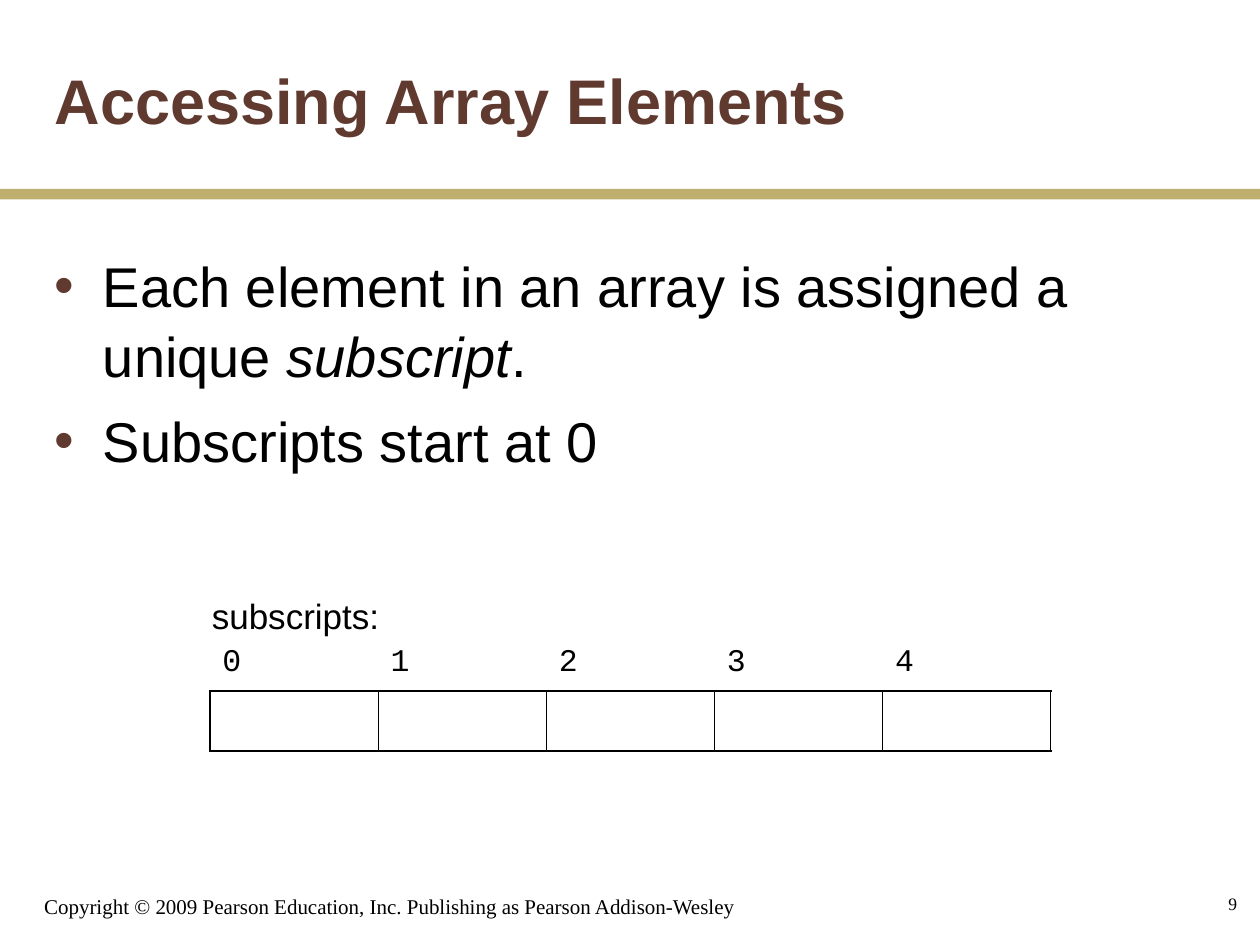
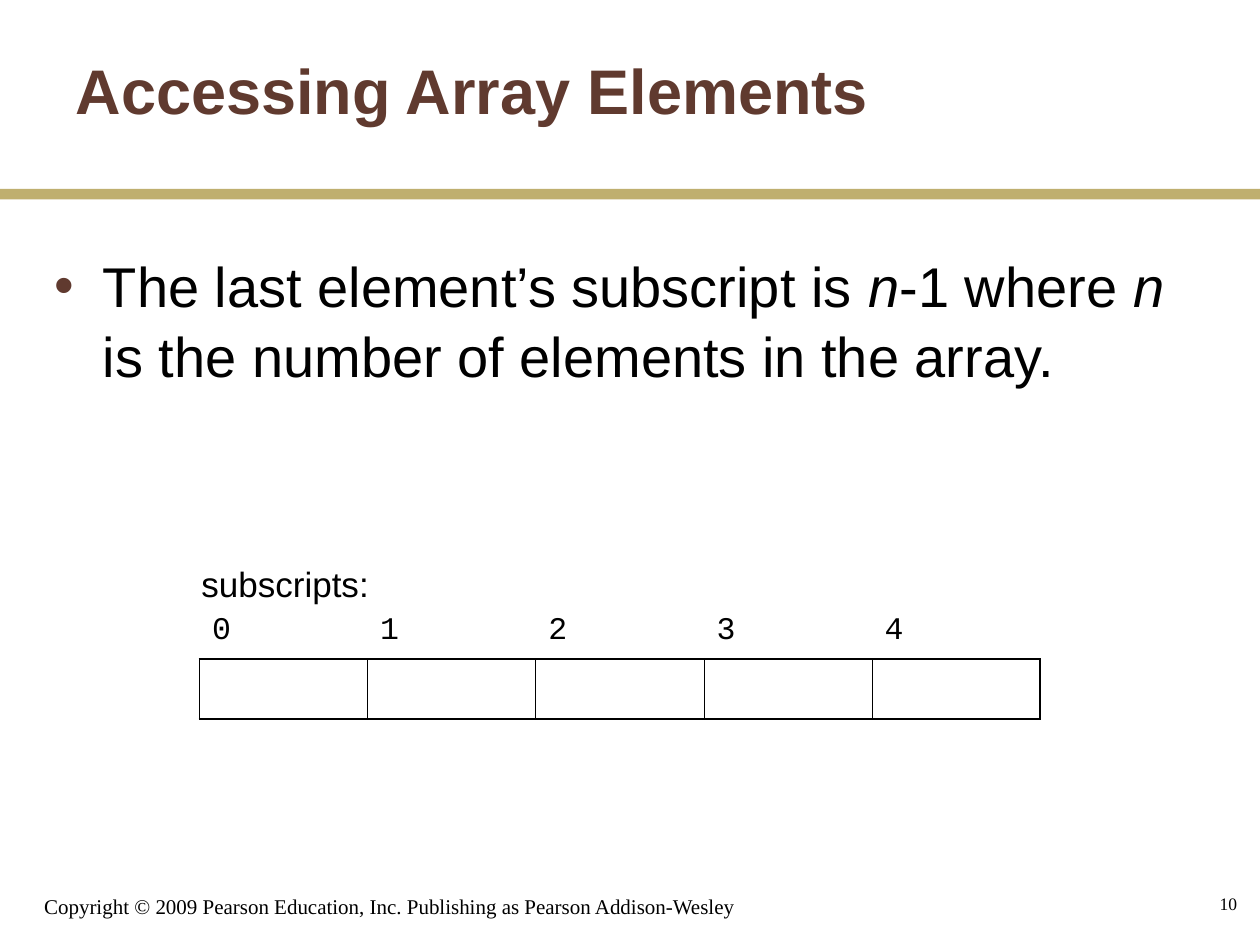
"""Build two slides on array subscripts, each with bullets above a row of numbered cells."""
import dataclasses

import pptx
import pptx.dml.color
import pptx.enum.shapes
import pptx.enum.text
import pptx.oxml
import pptx.oxml.ns
import pptx.util
from pptx.util import Cm, Pt

COPYRIGHT = "Copyright © 2009 Pearson Education, Inc. Publishing as Pearson Addison-Wesley"
HEADING = "Accessing Array Elements"
CAPTION = "subscripts:"
SUBSCRIPTS = ["0", "1", "2", "3", "4"]

LESSONS = [
    {
        "number": "9",
        "heading_box": (0.85, 0.42, 21.8, 3.18),
        "array_corner": (4.23, 13.93),
        "points": [
            [("Each element in an array is assigned a unique ", False),
             ("subscript", True), (".", False)],
            [("Subscripts start at 0", False)],
        ],
    },
    {
        "number": "10",
        "heading_box": (1.27, 0.21, 21.17, 3.18),
        "array_corner": (4.02, 13.29),
        "points": [
            [("The last element’s subscript is ", False), ("n", True),
             ("-1 where ", False), ("n", True),
             (" is the number of elements in the array.", False)],
        ],
    },
]


@dataclasses.dataclass(frozen=True)
class Theme:
    brown: str = "603A2F"
    gold: str = "BFAF6F"
    black: str = "000000"
    sans: str = "Arial"
    mono: str = "Courier New"
    serif: str = "Times New Roman"
    heading: int = 36
    point: int = 32
    caption: int = 20
    subscript: int = 18
    copyright: int = 12
    number: int = 10
    outer_line: float = 1.08
    inner_line: float = 0.45


THEME = Theme()
PAGE = (25.4, 19.05)
BAND_BOX = (0, 3.81, PAGE[0], 0.21)
POINTS_BOX = (0.85, 4.87, 23.03, 12.7)
COPYRIGHT_BOX = (0.64, 17.58, 15.45, 1.06)
NUMBER_BOX = (19.9, 17.58, 5.29, 1.27)
CELL_WIDTH = 3.39
SUBSCRIPT_HEIGHT, ELEMENT_HEIGHT = 1.09, 1.21
SUBSCRIPT_RISE = 1.05
CAPTION_SHIFT, CAPTION_RISE = 0.21, 2.07
CAPTION_SIZE = (3.89, 1.12)
HANGING = 0.97
PLAIN_TABLE = "{2D5ABB26-0587-4C30-8999-92F81FD0307C}"

ANCHOR = pptx.enum.text.MSO_ANCHOR
ALIGN = pptx.enum.text.PP_ALIGN
NO_FIT = pptx.enum.text.MSO_AUTO_SIZE.NONE


def rgb(color):
    return pptx.dml.color.RGBColor.from_string(color)


def xml(source):
    return pptx.oxml.parse_xml(source.replace(" ", f" {pptx.oxml.ns.nsdecls('a')} ", 1))


def apply(target, values):
    for name, value in values.items():
        setattr(target, name, value)


def place(shape, box):
    apply(shape, dict(zip(("left", "top", "width", "height"), map(Cm, box))))


def write(paragraph, text, size, family, color=THEME.black, **style):
    run = paragraph.add_run()
    run.text = text
    apply(run.font, {"size": Pt(size), "name": family, **style})
    run.font.color.rgb = rgb(color)


def prepare(frame, anchor=ANCHOR.TOP):
    apply(frame, {"word_wrap": True, "auto_size": NO_FIT, "vertical_anchor": anchor})
    return frame.paragraphs[0]


def add_label(slide, box, text, size, family, anchor=ANCHOR.TOP, align=ALIGN.LEFT):
    label = slide.shapes.add_textbox(*map(Cm, box))
    paragraph = prepare(label.text_frame, anchor)
    paragraph.alignment = align
    write(paragraph, text, size, family)


def add_frame(slide, lesson):
    add_label(slide, COPYRIGHT_BOX, COPYRIGHT, THEME.copyright, THEME.serif, ANCHOR.BOTTOM)
    band = slide.shapes.add_shape(
        pptx.enum.shapes.MSO_SHAPE.RECTANGLE, *map(Cm, BAND_BOX))
    band.shadow.inherit = False
    band.fill.solid()
    band.fill.fore_color.rgb = rgb(THEME.gold)
    band.line.fill.background()
    add_label(slide, NUMBER_BOX, lesson["number"], THEME.number, THEME.serif,
              ANCHOR.MIDDLE, ALIGN.RIGHT)


def fill_heading(heading, box):
    place(heading, box)
    paragraph = prepare(heading.text_frame, ANCHOR.MIDDLE)
    paragraph.alignment = ALIGN.LEFT
    write(paragraph, HEADING, THEME.heading, THEME.sans, THEME.brown, bold=True)


def fill_points(body, points):
    place(body, POINTS_BOX)
    first = prepare(body.text_frame)
    for index, point in enumerate(points):
        paragraph = body.text_frame.add_paragraph() if index else first
        properties = paragraph._p.get_or_add_pPr()
        properties.set("marL", str(Cm(HANGING)))
        properties.set("indent", str(-Cm(HANGING)))
        properties.append(xml(f'<a:buClr ><a:srgbClr val="{THEME.brown}"/></a:buClr>'))
        properties.append(xml('<a:buFont typeface="Arial"/>'))
        properties.append(xml('<a:buChar char="•"/>'))
        apply(paragraph, {"space_before": Pt(8 if index else 0), "line_spacing": 1.05})
        for text, italic in point:
            write(paragraph, text, THEME.point, THEME.sans, italic=italic)


def add_row(slide, left, top, height):
    columns = len(SUBSCRIPTS)
    row = slide.shapes.add_table(
        1, columns, *map(Cm, (left, top, CELL_WIDTH * columns, height)))
    apply(row.table, {"first_row": False, "horz_banding": False})
    for style in row.element.iter(pptx.oxml.ns.qn("a:tableStyleId")):
        style.text = PLAIN_TABLE
    return list(row.table.iter_cells())


def outline(cell, is_first, is_last):
    properties = cell._tc.get_or_add_tcPr()
    outer_sides = {"L": is_first, "R": is_last, "T": True, "B": True}
    for side, is_outer in outer_sides.items():
        width = Pt(THEME.outer_line if is_outer else THEME.inner_line)
        properties.append(xml(
            f'<a:ln{side} w="{width}"><a:solidFill><a:srgbClr val="{THEME.black}"/>'
            f'</a:solidFill></a:ln{side}>'))


def add_array(slide, left, top):
    subscript_cells = add_row(slide, left, top - SUBSCRIPT_RISE, SUBSCRIPT_HEIGHT)
    for cell, subscript in zip(subscript_cells, SUBSCRIPTS):
        cell.fill.background()
        write(cell.text_frame.paragraphs[0], subscript, THEME.subscript, THEME.mono)
    element_cells = add_row(slide, left, top, ELEMENT_HEIGHT)
    for cell in element_cells:
        outline(cell, cell is element_cells[0], cell is element_cells[-1])
        cell.fill.background()
    add_label(slide, (left - CAPTION_SHIFT, top - CAPTION_RISE, *CAPTION_SIZE),
              CAPTION, THEME.caption, THEME.sans)


def main():
    deck = pptx.Presentation()
    apply(deck, dict(zip(("slide_width", "slide_height"), map(Cm, PAGE))))
    for lesson in LESSONS:
        slide = deck.slides.add_slide(deck.slide_layouts[1])
        add_frame(slide, lesson)
        fill_heading(slide.shapes.title, lesson["heading_box"])
        fill_points(slide.placeholders[1], lesson["points"])
        add_array(slide, *lesson["array_corner"])
    deck.save("out.pptx")


if __name__ == "__main__":
    main()
